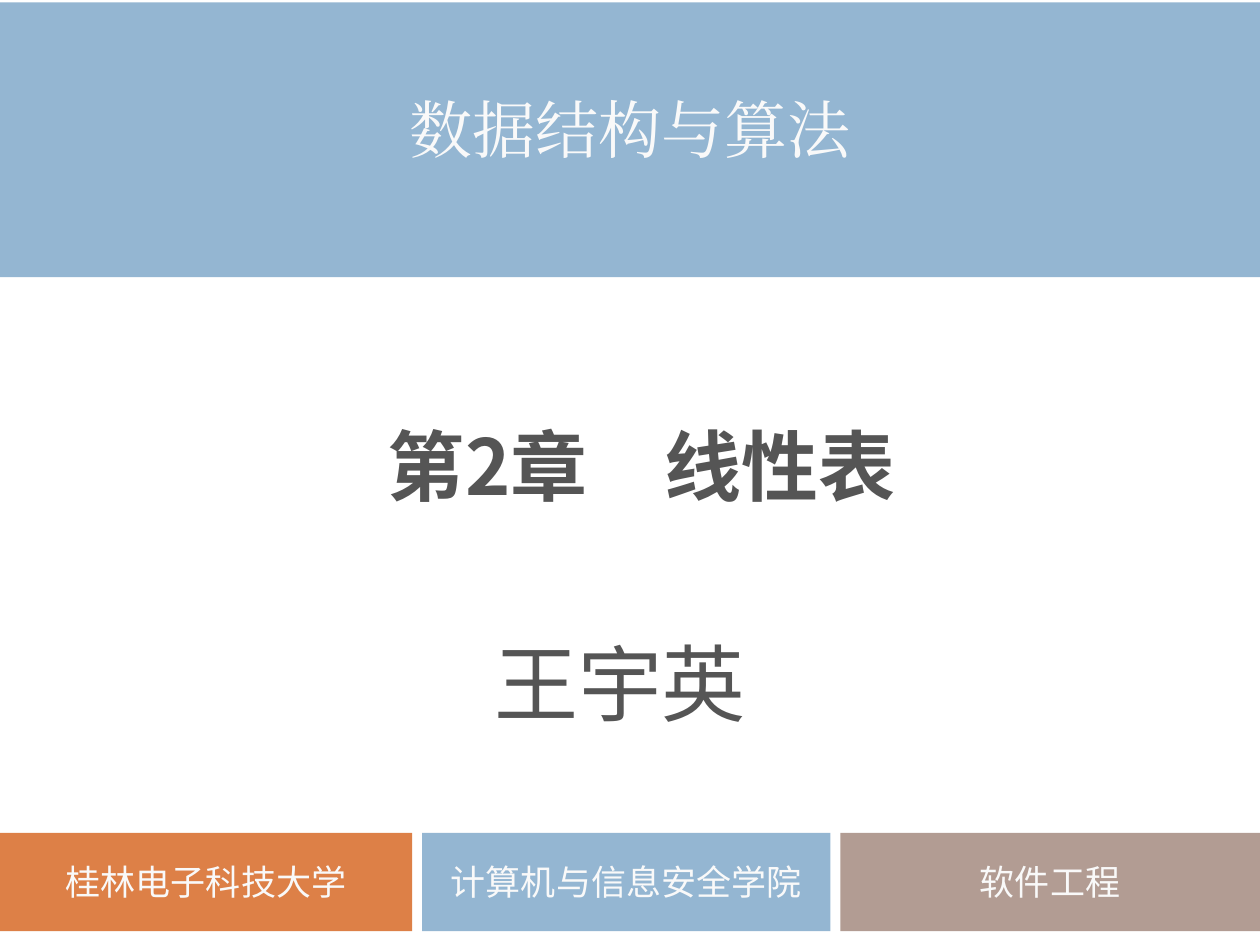
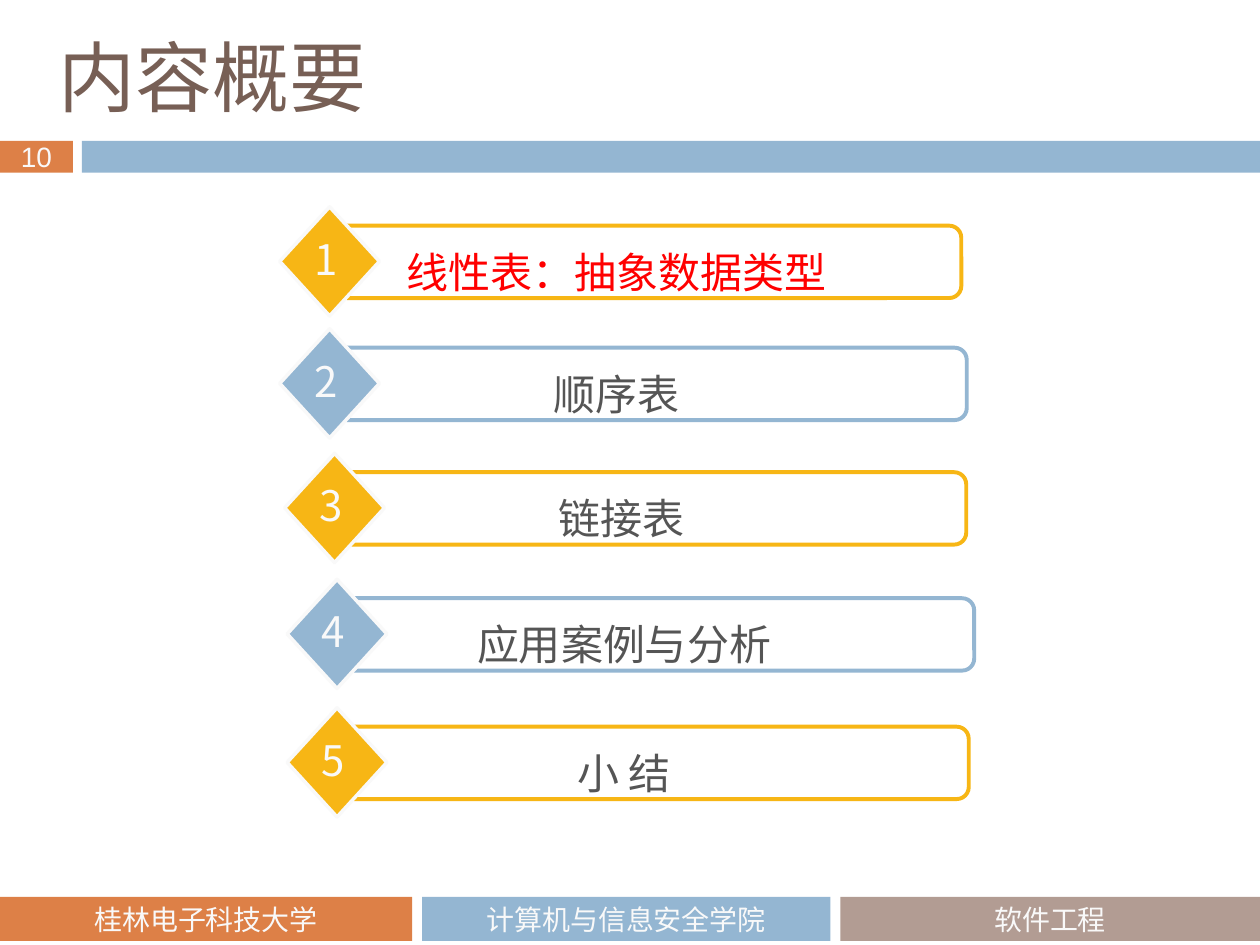
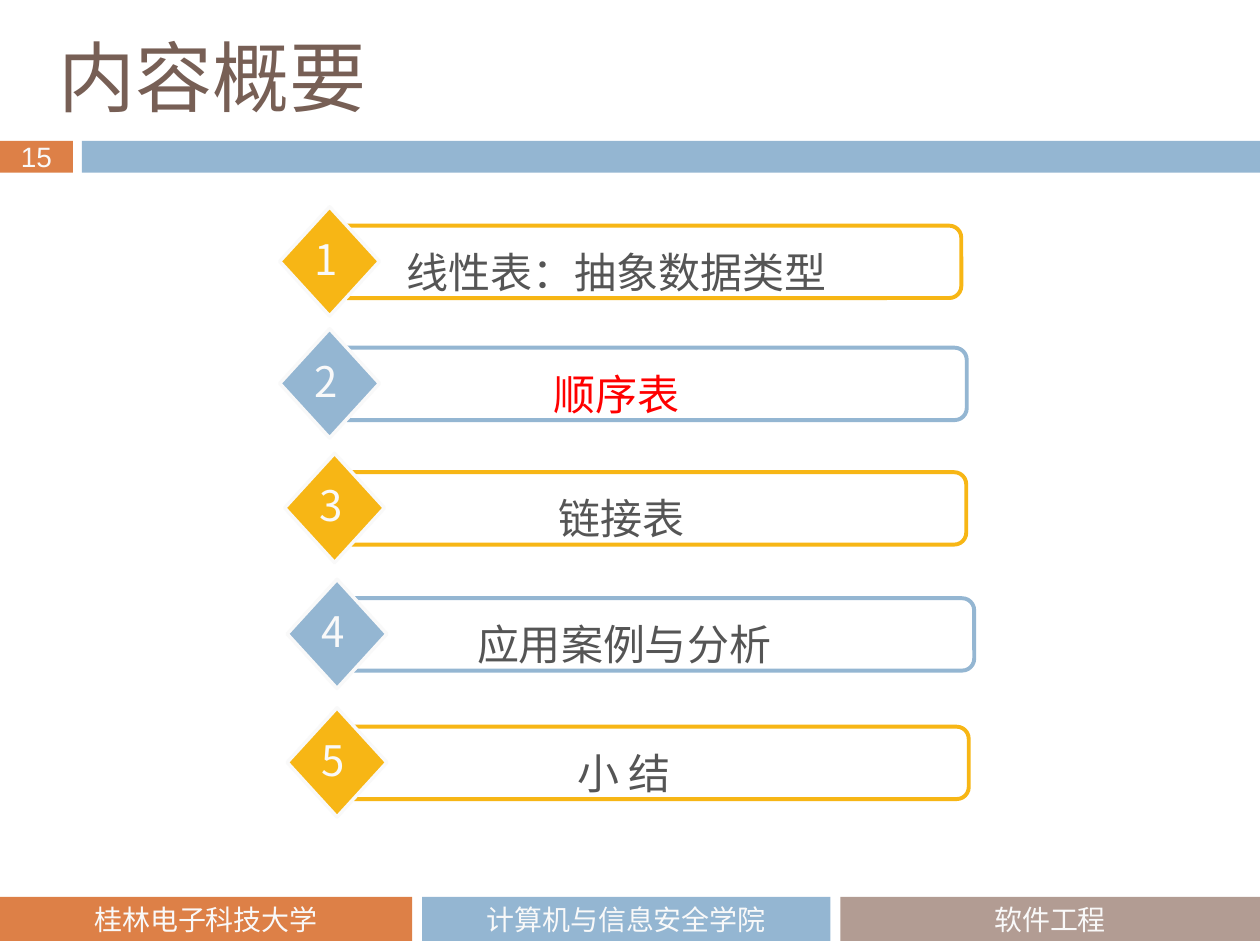
from itertools import cycle

from lxml import etree
from pptx import Presentation
from pptx import util as u
from pptx.dml.color import RGBColor
from pptx.enum import shapes, text
from pptx.oxml.ns import qn

ORANGE, BLUE, BROWN, YELLOW = "DD8047", "94B6D2", "B29C93", "F7B615"
WHITE, PALE, GREY, RED, TITLE_BROWN = "FFFFFF", "F9F9F9", "555555", "FF0000", "775F55"
BODY_FONT, TITLE_FONT, BAND_FONT = "Noto Sans CJK SC", "Noto Sans CJK JP", "Cabin"

# Footer columns: left, width (cm), fill, wording
FOOTER = [
    (0, 8.31, ORANGE, "桂林电子科技大学"),
    (8.51, 8.23, BLUE, "计算机与信息安全学院"),
    (16.94, 8.46, BROWN, "软件工程"),
]

# Outline topics: diamond left, top (cm), wording
TOPICS = [
    (5.64, 4.17, "线性表：抽象数据类型"),
    (5.64, 6.63, "顺序表"),
    (5.74, 9.14, "链接表"),
    (5.79, 11.68, "应用案例与分析"),
    (5.79, 14.27, "小 结"),
]


def rgb(value):
    return RGBColor.from_string(value)


def box(left, top, width, height):
    return [u.Cm(length) for length in (left, top, width, height)]


def write(holder, wording, size, font, colour, bold=False, align=text.PP_ALIGN.CENTER):
    """Put one formatted line, vertically centred, into a shape."""
    frame = holder.text_frame
    frame.text = wording
    frame.word_wrap = True
    frame.auto_size = text.MSO_AUTO_SIZE.NONE
    frame.vertical_anchor = text.MSO_ANCHOR.MIDDLE
    frame.margin_left = frame.margin_right = frame.margin_top = frame.margin_bottom = 0
    line = frame.paragraphs[0]
    line.alignment = align
    run = line.runs[0]
    run.font.size, run.font.bold = u.Pt(size), bold
    run.font.color.rgb = rgb(colour)
    run.font.name = font
    # The Chinese characters take the same typeface as the Latin ones
    etree.SubElement(run.font._element, qn("a:ea"), typeface=font)
    return line


def add_label(slide, place, wording, size, font, colour):
    write(slide.shapes.add_textbox(*box(*place)), wording, size, font, colour)


def add_figure(slide, kind, place, fill=None, line=None, line_width=0):
    figure = slide.shapes.add_shape(kind, *box(*place))
    figure.shadow.inherit = False
    if fill:
        figure.fill.solid()
        figure.fill.fore_color.rgb = rgb(fill)
    else:
        figure.fill.background()
    if line:
        figure.line.color.rgb = rgb(line)
        figure.line.width = u.Pt(line_width)
    else:
        figure.line.fill.background()
    return figure


def add_band(slide, place, fill):
    return add_figure(slide, shapes.MSO_SHAPE.RECTANGLE, place, fill)


def set_title(slide, place, wording, font, colour, **style):
    title = slide.shapes.title
    title.left, title.top, title.width, title.height = box(*place)
    write(title, wording, 44, font, colour, **style)


def add_footer(slide, top, height, size):
    for left, width, fill, wording in FOOTER:
        band = add_band(slide, (left, top, width, height), fill)
        write(band, wording, size, BAND_FONT, PALE)


def add_topic(slide, number, left, top, wording, accent, bar_width, colour):
    add_figure(slide, shapes.MSO_SHAPE.ROUNDED_RECTANGLE,
               (left + 1.12, top + 0.38, bar_width, 1.46), line=accent, line_width=2.25)
    add_figure(slide, shapes.MSO_SHAPE.DIAMOND,
               (left, top, 2.01, 2.2), accent, PALE, 2)
    add_label(slide, (left + 1.8, top + 0.56, 9.98, 1.48), wording, 24, BODY_FONT, colour)
    add_label(slide, (left + 0.46, top + 0.3, 0.94, 1.48), str(number), 24, BODY_FONT, PALE)


def add_cover(deck):
    slide = deck.slides.add_slide(deck.slide_layouts[5])
    set_title(slide, (1.8, 7.62, 22.28, 3.5), "第2章　线性表", BODY_FONT, GREY, bold=True)
    course_band = add_band(slide, (0, 0.05, 25.4, 5.54), BLUE)
    course = write(course_band, "数据结构与算法", 36, "Times New Roman", PALE)
    course.line_spacing, course.space_before = u.Pt(30), u.Pt(7)
    add_label(slide, (7.47, 12.4, 10.06, 2.7), "王宇英", 48, TITLE_FONT, GREY)
    add_footer(slide, 16.79, 1.98, 20)


def add_outline(deck, page, current):
    """Outline slide with the current topic in red."""
    slide = deck.slides.add_slide(deck.slide_layouts[5])
    set_title(slide, (1.17, 0.69, 13.89, 1.68), "内容概要", TITLE_FONT, TITLE_BROWN,
              align=text.PP_ALIGN.LEFT)
    # Header strip with page number
    page_band = add_band(slide, (0, 2.84, 1.47, 0.64), ORANGE)
    write(page_band, str(page), 16, "Arial", PALE)
    add_band(slide, (1.65, 2.84, 23.75, 0.64), BLUE)
    # Topics in alternating accents
    accents = cycle([(YELLOW, 12.62), (BLUE, 12.73)])
    for number, (topic, (accent, bar_width)) in enumerate(zip(TOPICS, accents), start=1):
        colour = RED if number == current else GREY
        add_topic(slide, number, *topic, accent, bar_width, colour)
    add_footer(slide, 18.08, 0.89, 16)


def main():
    deck = Presentation()
    deck.slide_width, deck.slide_height = u.Cm(25.4), u.Cm(19.05)
    add_cover(deck)
    add_outline(deck, page=10, current=1)
    add_outline(deck, page=15, current=2)
    deck.save("out.pptx")


if __name__ == "__main__":
    main()
